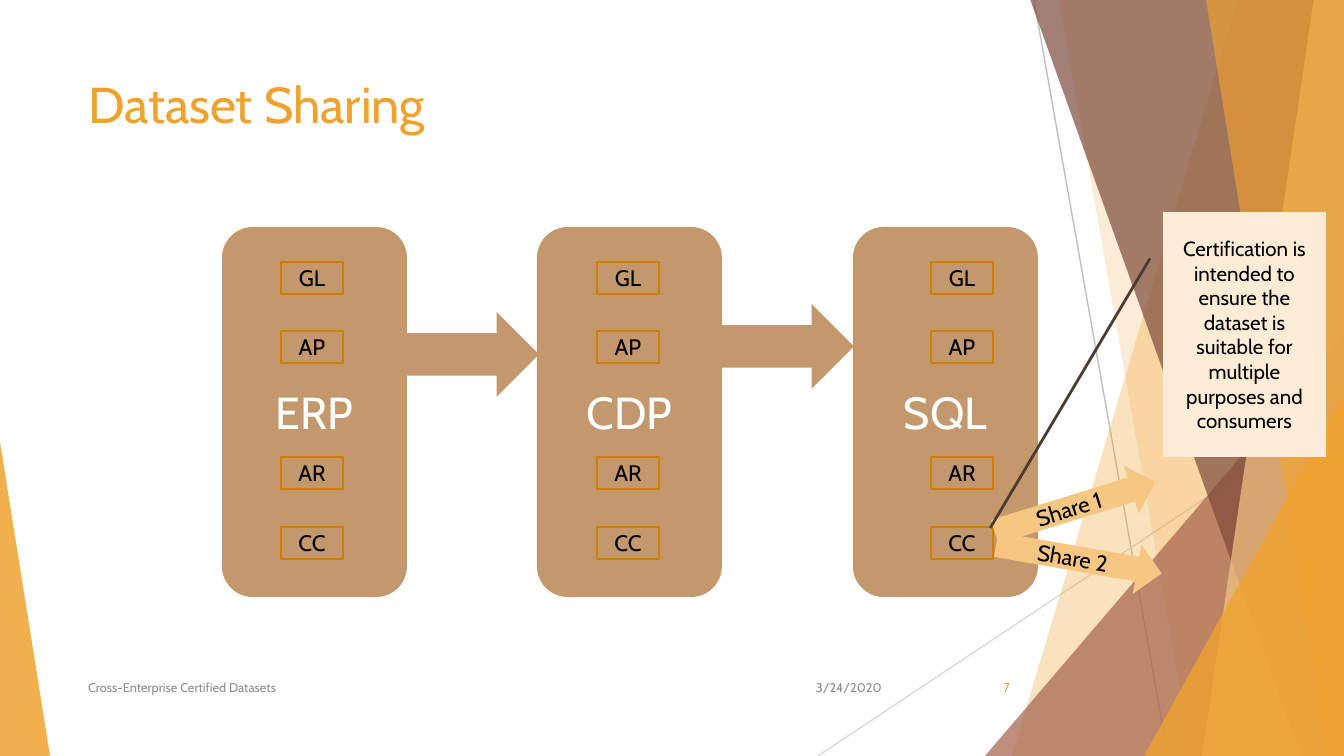
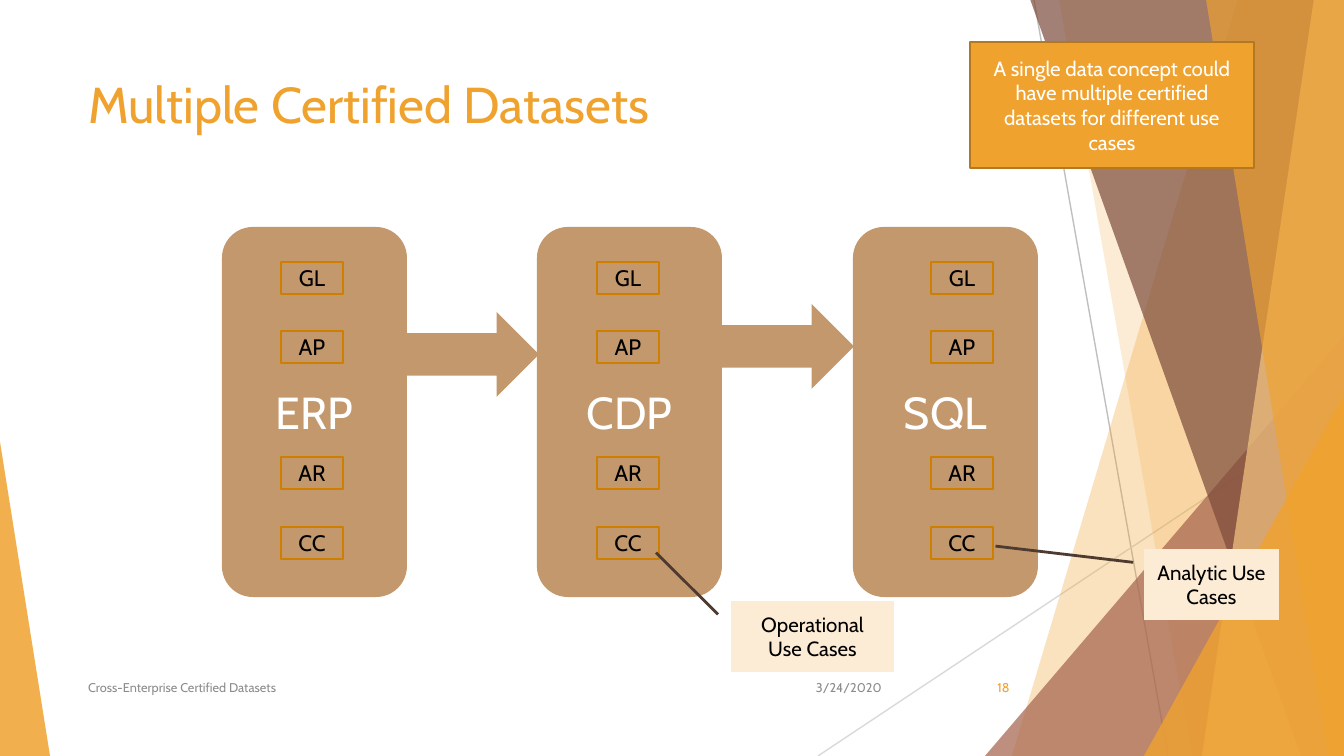
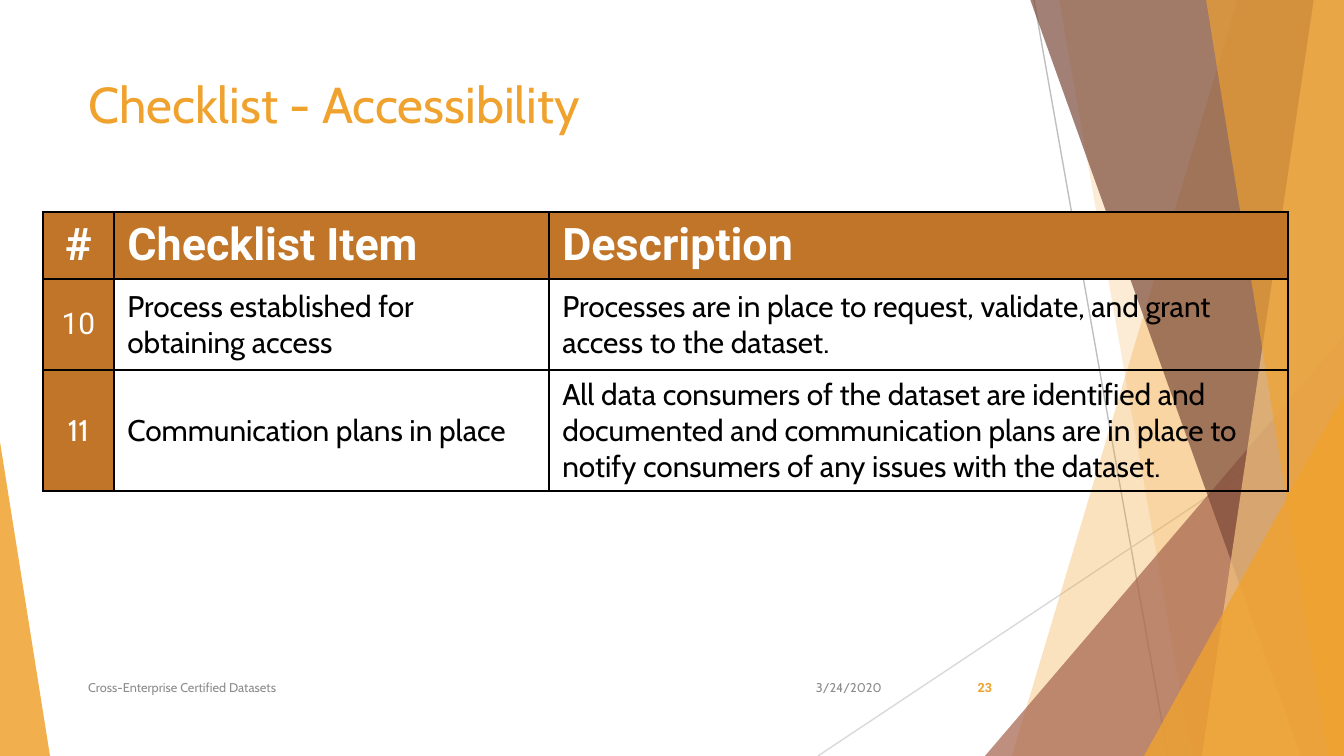
import dataclasses

import lxml.etree
import pptx
import pptx.dml.color
import pptx.enum.shapes
import pptx.enum.text
import pptx.oxml.ns
import pptx.util

SCALE = 914400 / 134.4
WIDE, HIGH = 1344, 756
KIND = pptx.enum.shapes.MSO_SHAPE
ALIGN = pptx.enum.text.PP_ALIGN
ANCHOR = pptx.enum.text.MSO_ANCHOR


@dataclasses.dataclass(frozen=True)
class Theme:
    gold: str = "F0A22E"
    pale: str = "F6C782"
    cream: str = "FCECD5"
    rust: str = "A5644E"
    brown: str = "7C4B3B"
    tan: str = "C3986D"
    amber: str = "CF7F00"
    edge: str = "B27822"
    umber: str = "4E3B30"
    head: str = "C17529"
    gray: str = "8C8C8C"
    silver: str = "BFBFBF"
    mist: str = "D9D9D9"
    black: str = "000000"
    white: str = "FFFFFF"
    font: str = "Cabin"
    alt: str = "Roboto"
    title: float = 27
    large: float = 24
    cell: float = 16
    tag: float = 12
    note: float = 11
    small: float = 6.8
    hair: float = 0.75
    rule: float = 1
    line: float = 1.5


THEME = Theme()


def emu(px):
    return pptx.util.Emu(round(px * SCALE))


def area(box):
    return [emu(px) for px in box]


def shift(box, left, top, width, height):
    return box[0] + left, box[1] + top, width, height


def rgb(color):
    return pptx.dml.color.RGBColor.from_string(color)


def add_node(parent, tag, **attrs):
    return lxml.etree.SubElement(parent, pptx.oxml.ns.qn(tag), **attrs)


def say(frame, text, size=THEME.tag, color=THEME.black, font=THEME.font,
        bold=False, align=ALIGN.LEFT):
    para = frame.paragraphs[0]
    para.alignment = align
    run = para.add_run()
    run.text = text
    run.font.size = pptx.util.Pt(size)
    run.font.name = font
    run.font.bold = bold
    run.font.color.rgb = rgb(color)


def add_text(slide, box, text, anchor=ANCHOR.MIDDLE, **style):
    frame = slide.shapes.add_textbox(*area(box)).text_frame
    frame.word_wrap = True
    frame.vertical_anchor = anchor
    say(frame, text, **style)


def paint(shape, fill=None, line=None, alpha=None):
    shape.shadow.inherit = False
    if fill:
        shape.fill.solid()
        shape.fill.fore_color.rgb = rgb(fill)
    else:
        shape.fill.background()
    if alpha:
        tone = shape.element.xpath("./p:spPr/a:solidFill/a:srgbClr")[0]
        add_node(tone, "a:alpha", val=str(alpha * 1000))
    if line:
        shape.line.color.rgb = rgb(line)
        shape.line.width = pptx.util.Pt(THEME.line)
    else:
        shape.line.fill.background()


def add_form(shapes, kind, box, text=None, adjust=(), turn=0,
             fill=None, line=None, alpha=None, **style):
    shape = shapes.add_shape(kind, *area(box))
    for index, value in enumerate(adjust):
        shape.adjustments[index] = value
    shape.rotation = turn
    paint(shape, fill, line, alpha)
    if text:
        shape.text_frame.word_wrap = True
        shape.text_frame.vertical_anchor = ANCHOR.MIDDLE
        say(shape.text_frame, text, align=ALIGN.CENTER, **style)
    return shape


def add_line(shapes, start, end, color):
    line = shapes.add_connector(
        pptx.enum.shapes.MSO_CONNECTOR.STRAIGHT, *area(start + end))
    line.line.color.rgb = rgb(color)
    line.line.width = pptx.util.Pt(THEME.hair)
    add_node(line.element.spPr, "a:effectLst")


def add_band(shapes, top, foot, color, alpha):
    draft = shapes.build_freeform(top, -1, scale=SCALE)
    draft.add_line_segments([(WIDE, -1), (WIDE, HIGH), (foot, HIGH)], close=True)
    paint(draft.convert_to_shape(), color, alpha=alpha)


def add_peak(shapes, box, tip, color, alpha):
    add_form(shapes, KIND.ISOSCELES_TRIANGLE, box, adjust=[tip],
             fill=color, alpha=alpha)


def dress(deck, slide):
    group = slide.shapes.add_group_shape()
    shapes = group.shapes
    add_line(shapes, (1034, 0), (1168, HIGH), THEME.silver)
    add_line(shapes, (WIDE, 406), (818, HIGH), THEME.mist)
    add_band(shapes, 1238, 1012, THEME.gold, 30)
    add_band(shapes, 1059, 1192, THEME.gold, 20)
    add_peak(shapes, (985, 336, 359, 420), 1, THEME.rust, 72)
    add_band(shapes, 1030, 1301, THEME.brown, 70)
    add_band(shapes, 1314, 1202, THEME.pale, 70)
    add_band(shapes, 1206, 1328, THEME.gold, 65)
    add_peak(shapes, (1144, 395, 200, 361), 1, THEME.gold, 80)
    add_peak(shapes, (0, 442, 50, 314), 0, THEME.gold, 85)
    for number, node in enumerate(group.element.xpath(".//p:cNvPr"), 100):
        node.set("id", str(number))
    deck.slide_master.element.cSld.spTree.append(group.element)


def add_foot(slide, box, number, **style):
    small = {"size": THEME.small, "color": THEME.gray}
    add_text(slide, shift(box, 0, 0, 695, box[3]),
             "Cross-Enterprise Certified Datasets", **small)
    add_text(slide, shift(box, 719, 0, 101, box[3]), "3/24/2020",
             align=ALIGN.RIGHT, **small)
    look = {"size": THEME.small, "color": THEME.gold, "align": ALIGN.RIGHT}
    add_text(slide, shift(box, 872, 0, 76, box[3]), number, **(look | style))


def add_base(slide, title, number, **style):
    add_text(slide, (75, 67, 948, 145), title, anchor=ANCHOR.TOP,
             size=THEME.title, color=THEME.gold)
    add_foot(slide, (75, 667, 948, 40), number, **style)


def add_panel(slide, box, name, inset):
    add_form(slide.shapes, KIND.ROUNDED_RECTANGLE, box, name, fill=THEME.tan,
             size=THEME.large, color=THEME.white)
    for tag, top in zip(("GL", "AP", "AR", "CC"), (35, 104, 230, 300)):
        add_form(slide.shapes, KIND.RECTANGLE, shift(box, inset, top, 62, 32),
                 tag, line=THEME.amber)


def add_flow(slide, box):
    for name, left, inset in (("ERP", 0, 59), ("CDP", 315, 60), ("SQL", 631, 78)):
        add_panel(slide, shift(box, left, 0, 185, box[3]), name, inset)
    for left, top in ((185, 85), (500, 77)):
        add_form(slide.shapes, KIND.RIGHT_ARROW,
                 shift(box, left, top, 132, 85), fill=THEME.tan)


def add_call(slide, box, text, drop, reach):
    add_form(slide.shapes, KIND.LINE_CALLOUT_1_NO_BORDER, box, text,
             adjust=(0.19, -0.08, drop, reach), fill=THEME.cream,
             line=THEME.umber, size=THEME.note)


def add_share(slide, box):
    for text, left, top, turn in (("Share 1", 0, 0, 342.8),
                                  ("Share 2", 4, 52, 9.9)):
        add_form(slide.shapes, KIND.RIGHT_ARROW, shift(box, left, top, 168, 50),
                 text, turn=turn, fill=THEME.pale)


def add_edges(cell):
    props = cell._tc.get_or_add_tcPr()
    for side in "LRTB":
        line = add_node(props, f"a:ln{side}",
                        w=str(pptx.util.Pt(THEME.rule)))
        add_node(add_node(line, "a:solidFill"), "a:srgbClr", val=THEME.black)


def add_grid(slide, box, widths, heights, rows):
    table = slide.shapes.add_table(len(rows), len(widths), *area(box)).table
    table.horz_banding = False
    for column, width in zip(table.columns, widths):
        column.width = emu(width)
    for line, height in zip(table.rows, heights):
        line.height = emu(height)
    for row, texts in enumerate(rows):
        for col, text in enumerate(texts):
            cell = table.cell(row, col)
            add_edges(cell)
            top, dark = row == 0, row == 0 or col == 0
            if dark:
                cell.fill.solid()
                cell.fill.fore_color.rgb = rgb(THEME.head)
            else:
                cell.fill.background()
            cell.vertical_anchor = ANCHOR.TOP if top else ANCHOR.MIDDLE
            say(cell.text_frame, text, bold=top,
                size=THEME.large if top else THEME.cell,
                color=THEME.white if dark else THEME.black,
                font=THEME.alt if top or text == "10" else THEME.font,
                align=ALIGN.LEFT if col else ALIGN.CENTER)


def make_share(slide):
    add_base(slide, "Dataset Sharing", "7")
    add_flow(slide, (222, 227, 816, 370))
    add_share(slide, (991, 482, 172, 102))
    add_call(slide, (1163, 212, 163, 245),
             "Certification is intended to ensure the dataset is suitable "
             "for multiple purposes and consumers", 1.29, -1.06)


def make_multi(slide):
    add_base(slide, "Multiple Certified Datasets", "18")
    add_flow(slide, (222, 227, 816, 370))
    add_call(slide, (1144, 549, 135, 71), "Analytic Use Cases", -0.04, -1.1)
    add_form(slide.shapes, KIND.RECTANGLE, (970, 42, 284, 126),
             "A single data concept could have multiple certified datasets "
             "for different use cases", fill=THEME.gold, line=THEME.edge,
             size=THEME.note, color=THEME.white)
    add_call(slide, (731, 601, 163, 71), "Operational Use Cases", -0.68, -0.46)


def make_list(slide):
    add_base(slide, "Checklist - Accessibility", "23",
             font=THEME.alt, bold=True, align=ALIGN.CENTER)
    add_grid(slide, (43, 212, 1245, 242), (71, 435, 739), (60, 91, 91), (
        ("#", "Checklist Item", "Description"),
        ("10", "Process established for obtaining access",
         "Processes are in place to request, validate, and grant access "
         "to the dataset."),
        ("11", "Communication plans in place",
         "All data consumers of the dataset are identified and documented "
         "and communication plans are in place to notify consumers of any "
         "issues with the dataset."),
    ))


def main():
    deck = pptx.Presentation()
    deck.slide_width, deck.slide_height = emu(WIDE), emu(HIGH)
    blank = deck.slide_layouts[6]
    slides = [deck.slides.add_slide(blank) for _ in range(3)]
    dress(deck, slides[0])
    for make, slide in zip((make_share, make_multi, make_list), slides):
        make(slide)
    deck.save("out.pptx")


if __name__ == "__main__":
    main()
